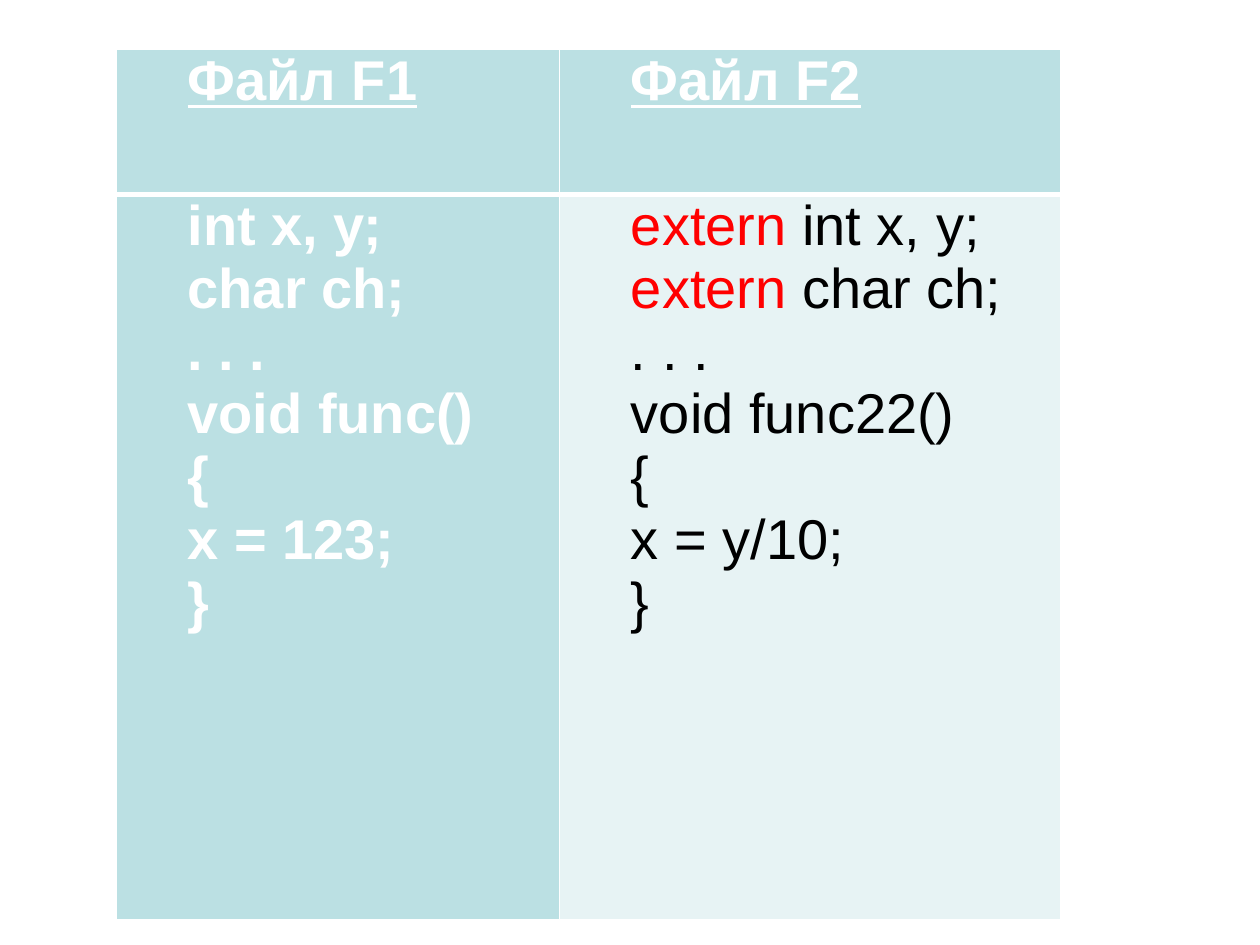
from dataclasses import dataclass

from lxml import etree
from pptx import Presentation
from pptx import util as u
from pptx.dml.color import RGBColor
from pptx.enum import text
from pptx.oxml.ns import qn


@dataclass(frozen=True)
class Theme:
    font: str = "Arial"
    size: int = 32
    accent: str = "BBE0E3"
    pale: str = "E7F3F4"
    light: str = "FFFFFF"
    dark: str = "000000"
    keyword: str = "FF0000"
    thin: int = 1
    thick: int = 3


THEME = Theme()
KEYWORD = "extern"
HEADERS = ["Файл F1", "Файл F2"]
LISTINGS = [
    ["int x, у;", "char ch;", ". . .", "void func()", "{", "x = 123;", "}"],
    ["extern int x, y;", "extern char ch;", ". . .", "void func22()", "{", "x = у/10;", "}"],
]


def set_border(cell, side, width):
    ln = etree.SubElement(cell._tc.get_or_add_tcPr(), qn(f"a:ln{side}"), w=str(u.Pt(width)))
    fill = etree.SubElement(ln, qn("a:solidFill"))
    etree.SubElement(fill, qn("a:srgbClr"), val=THEME.light)


def add_run(p, content, color, bold, underline):
    r = p.add_run()
    r.text = content
    r.font.name = THEME.font
    r.font.size = u.Pt(THEME.size)
    r.font.bold = bold
    r.font.underline = underline
    r.font.color.rgb = RGBColor.from_string(color)


def fill_cell(cell, lines, fill, color, bold=False, underline=False, top=THEME.thin, bottom=THEME.thin):
    for side, width in zip("LRTB", (THEME.thin, THEME.thin, top, bottom)):
        set_border(cell, side, width)
    cell.fill.solid()
    cell.fill.fore_color.rgb = RGBColor.from_string(fill)
    cell.margin_left = cell.margin_right = u.Cm(0.19)
    cell.margin_top = cell.margin_bottom = 0

    tf = cell.text_frame
    for i, line in enumerate(lines):
        p = tf.add_paragraph() if i else tf.paragraphs[0]
        p.alignment = text.PP_ALIGN.JUSTIFY
        pPr = p._p.get_or_add_pPr()
        pPr.set("marL", "0")
        pPr.set("indent", str(u.Cm(1.25)))
        if line.startswith(KEYWORD):
            add_run(p, KEYWORD, THEME.keyword, bold, underline)
            line = line.removeprefix(KEYWORD)
        add_run(p, line, color, bold, underline)


def add_file_table(s, left, top, widths, heights):
    frame = s.shapes.add_table(len(heights), len(widths), left, top, sum(widths), sum(heights))
    table = frame.table
    for column, width in zip(table.columns, widths):
        column.width = width
    for row, height in zip(table.rows, heights):
        row.height = height

    for i, header in enumerate(HEADERS):
        fill_cell(table.cell(0, i), [header], THEME.accent, THEME.light,
                  bold=True, underline=True, bottom=THEME.thick)
    fill_cell(table.cell(1, 0), LISTINGS[0], THEME.accent, THEME.light, bold=True, top=THEME.thick)
    fill_cell(table.cell(1, 1), LISTINGS[1], THEME.pale, THEME.dark, top=THEME.thick)


def main():
    prs = Presentation()
    prs.slide_width, prs.slide_height = u.Cm(25.4), u.Cm(19.05)
    s = prs.slides.add_slide(prs.slide_layouts[6])
    add_file_table(s, u.Cm(2.34), u.Cm(1),
                   widths=[u.Cm(8.94), u.Cm(10.11)],
                   heights=[u.Cm(2.92), u.Cm(14.63)])
    prs.save("out.pptx")


if __name__ == "__main__":
    main()
